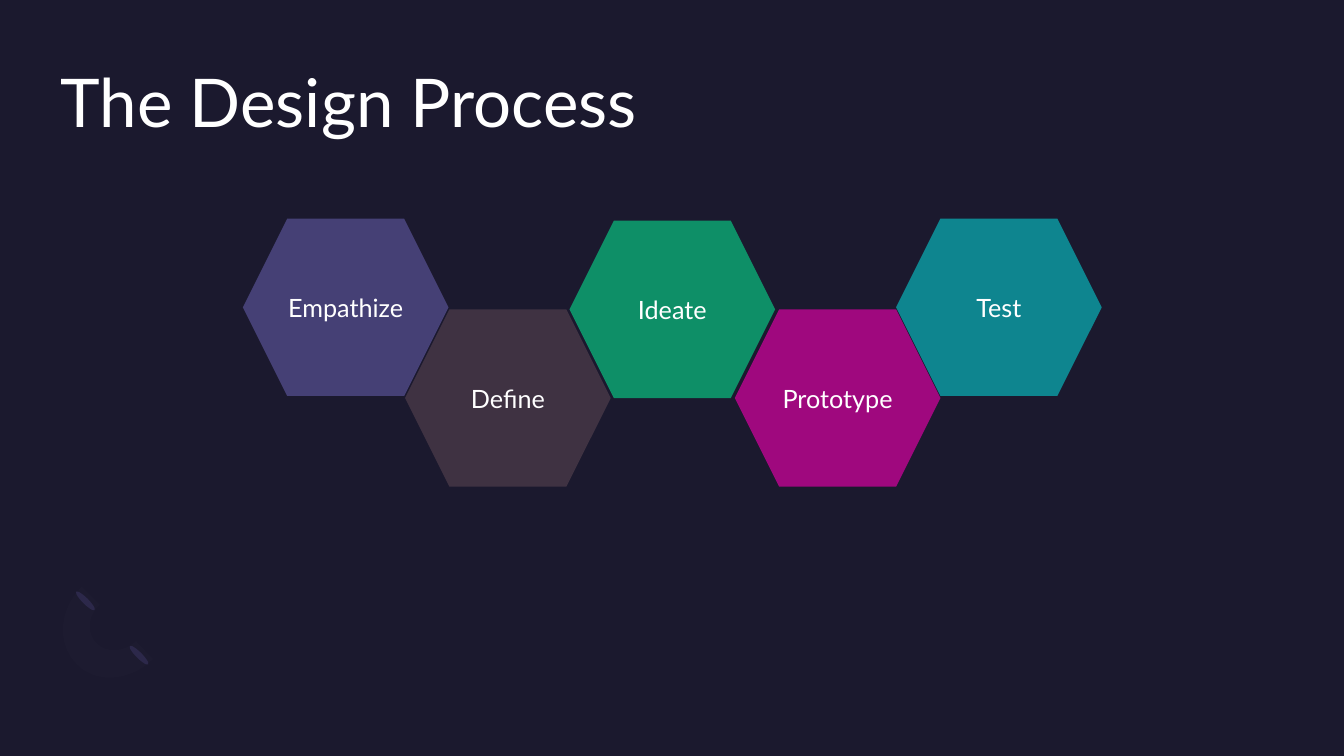
"""Build the slide that shows the five steps of the design process."""
from dataclasses import dataclass

from pptx import Presentation
from pptx import util as u
from pptx.dml.color import RGBColor
from pptx.enum import shapes, text
from pptx.shapes.autoshape import Shape
from pptx.slide import Slide

Point = tuple[float, float]

NIGHT = RGBColor(0x1B, 0x19, 0x2E)
FAINT = RGBColor(0x1D, 0x1B, 0x30)
CAP = RGBColor(0x2C, 0x28, 0x4A)
WHITE = RGBColor(0xFF, 0xFF, 0xFF)
INDIGO = RGBColor(0x45, 0x40, 0x75)
BROWN = RGBColor(0x3F, 0x32, 0x42)
GREEN = RGBColor(0x0E, 0x8F, 0x67)
MAGENTA = RGBColor(0x9F, 0x08, 0x7E)
TEAL = RGBColor(0x0E, 0x85, 0x8F)

FONT = "Lato"
HEXAGON_WIDTH, HEXAGON_HEIGHT = 146.9, 126.7
CAP_WIDTH, CAP_HEIGHT = 4.3, 18.7
CURVE_STEPS = 10


@dataclass(frozen=True)
class Step:
    label: str
    left: float
    top: float
    color: RGBColor


STEPS = [
    Step("Empathize", 173.5, 156.2, INDIGO),
    Step("Define", 289.4, 221, BROWN),
    Step("Ideate", 406.8, 157.7, GREEN),
    Step("Prototype", 524.9, 221, MAGENTA),
    Step("Test", 640.1, 156.2, TEAL),
]
CAP_CENTERS: list[Point] = [(99.3, 468), (61, 429.2)]
OUTER_CURVE: list[Point] = [(54.7, 474.5), (40.3, 460.1), (41.8, 435.6), (58.3, 419)]
INNER_CURVES: list[list[Point]] = [
    [(71.3, 432), (62.6, 439.9), (61.9, 452.9), (69.1, 459.4)],
    [(69.1, 459.4), (76.3, 466.6), (88.6, 465.8), (97.2, 457.9)],
]
CLOSING_CURVE: list[Point] = [(109.4, 470.9), (93.6, 486.7), (68.4, 488.9), (54.7, 474.5)]


def curve_points(curve: list[Point]) -> list[Point]:
    """Return points along a cubic curve, in EMU."""
    points = []
    for index in range(CURVE_STEPS + 1):
        t = index / CURVE_STEPS
        weights = ((1 - t) ** 3, 3 * t * (1 - t) ** 2, 3 * t**2 * (1 - t), t**3)
        x, y = (sum(w * p[axis] for w, p in zip(weights, curve)) for axis in (0, 1))
        points.append((u.Pt(x), u.Pt(y)))
    return points


def paint(shape: Shape, color: RGBColor) -> None:
    """Give a shape a plain fill without line or shadow."""
    shape.shadow.inherit = False
    shape.fill.solid()
    shape.fill.fore_color.rgb = color
    shape.line.fill.background()


def write(shape: Shape, words: str, size: float, align: text.PP_ALIGN) -> None:
    """Put one line of white text in a shape."""
    shape.text_frame.text = words
    para = shape.text_frame.paragraphs[0]
    para.alignment = align
    para.font.name = FONT
    para.font.size = u.Pt(size)
    para.font.color.rgb = WHITE


def add_ring(page: Slide) -> None:
    """Draw the faint open ring and its two end caps."""
    curves = [OUTER_CURVE, *INNER_CURVES, CLOSING_CURVE]
    points = [point for curve in curves for point in curve_points(curve)]
    builder = page.shapes.build_freeform(*points[0])
    builder.add_line_segments(points[1:], close=True)
    paint(builder.convert_to_shape(), FAINT)
    for x, y in CAP_CENTERS:
        cap = page.shapes.add_shape(
            shapes.MSO_SHAPE.OVAL,
            u.Pt(x - CAP_WIDTH / 2), u.Pt(y - CAP_HEIGHT / 2),
            u.Pt(CAP_WIDTH), u.Pt(CAP_HEIGHT),
        )
        cap.rotation = 135
        paint(cap, CAP)


def add_title(page: Slide, words: str) -> None:
    """Place and format the title."""
    title = page.shapes.title
    title.left, title.top = u.Pt(43.2), u.Pt(43.2)
    title.width, title.height = u.Pt(873.4), u.Pt(105.1)
    frame = title.text_frame
    frame.margin_left = frame.margin_right = 0
    frame.margin_top = frame.margin_bottom = 0
    frame.vertical_anchor = text.MSO_ANCHOR.TOP
    frame.auto_size = text.MSO_AUTO_SIZE.NONE
    write(title, words, 48, text.PP_ALIGN.LEFT)


def add_step(page: Slide, step: Step) -> None:
    """Draw one step as a labelled hexagon."""
    hexagon = page.shapes.add_shape(
        shapes.MSO_SHAPE.HEXAGON, u.Pt(step.left), u.Pt(step.top),
        u.Pt(HEXAGON_WIDTH), u.Pt(HEXAGON_HEIGHT),
    )
    paint(hexagon, step.color)
    hexagon.text_frame.vertical_anchor = text.MSO_ANCHOR.MIDDLE
    write(hexagon, step.label, 18, text.PP_ALIGN.CENTER)


def main() -> None:
    """Build and save the deck."""
    deck = Presentation()
    deck.slide_width, deck.slide_height = u.Pt(960), u.Pt(540)
    page = deck.slides.add_slide(deck.slide_layouts.get_by_name("Title Only"))
    page.background.fill.solid()
    page.background.fill.fore_color.rgb = NIGHT
    add_ring(page)
    add_title(page, "The Design Process")
    for step in STEPS:
        add_step(page, step)
    deck.save("out.pptx")


if __name__ == "__main__":
    main()
